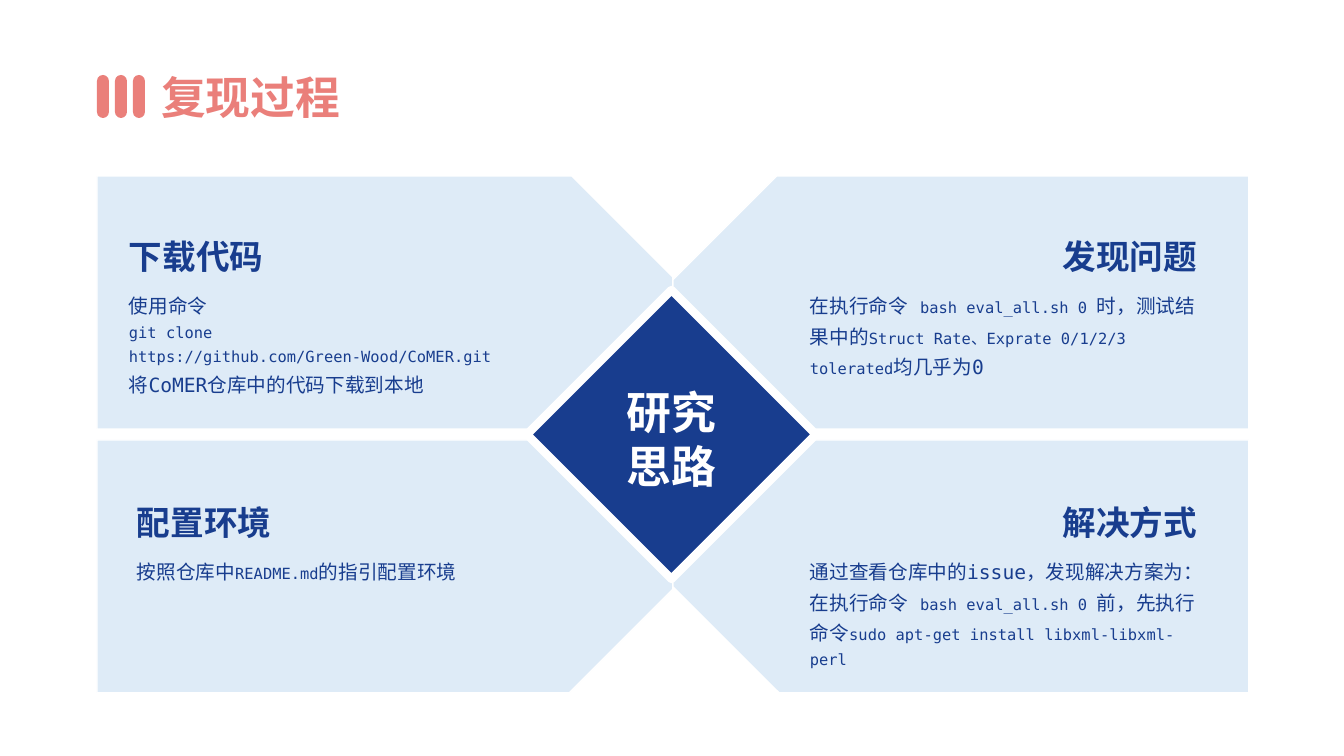
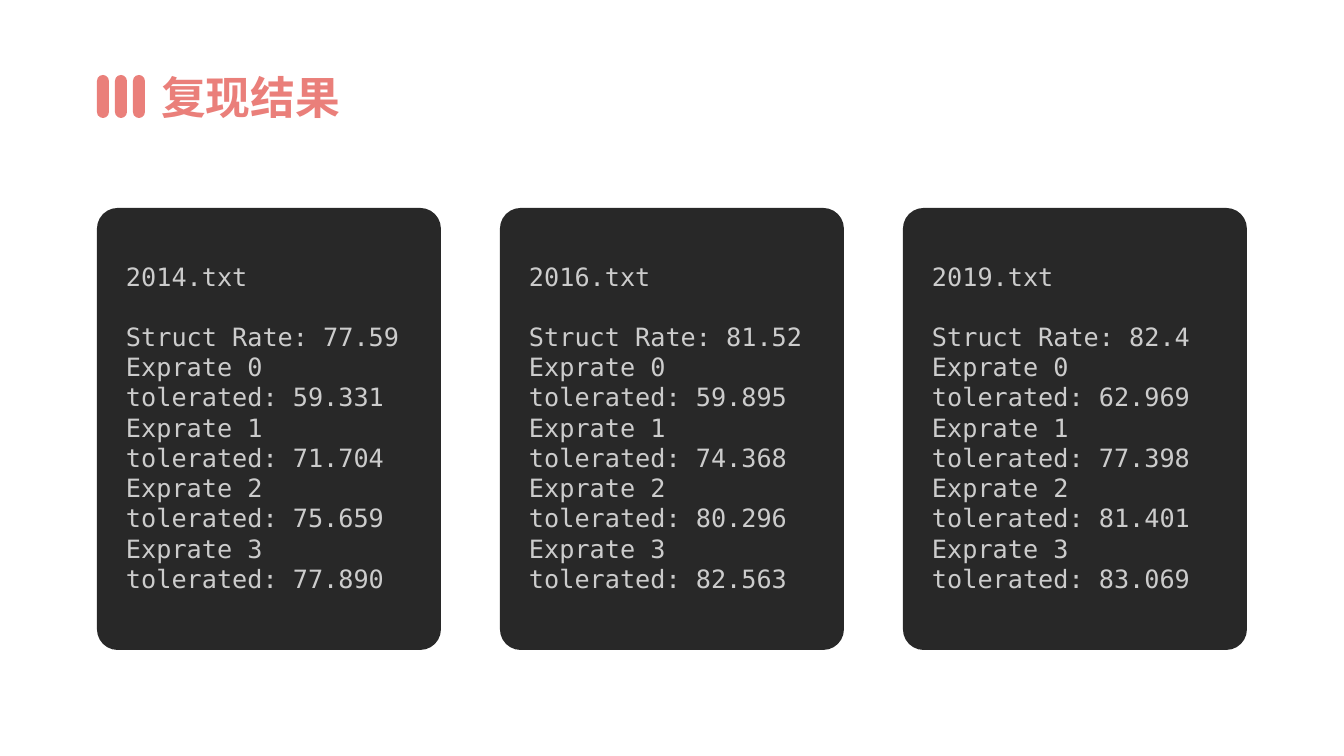
"""Build two slides on reproducing a code repository: the process and the results."""
import pptx
import pptx.util
import pptx.dml.color
import pptx.enum.shapes
import pptx.enum.text
import pptx.oxml.ns
from lxml import etree

COLORS = {
    "coral": "EA7F7A",
    "navy": "183D8E",
    "pale": "DEEBF7",
    "white": "FFFFFF",
    "card": "282828",
    "silver": "CCCCCC",
}
FONT = "DejaVu Sans Mono"
EMU_PER_PX = 914400 / 100.8
TITLE_ONLY = 5
SHAPE = pptx.enum.shapes.MSO_SHAPE
ALIGN = pptx.enum.text.PP_ALIGN
ANCHOR = pptx.enum.text.MSO_ANCHOR

PANELS = [
    {
        "column": 0, "row": 0, "snip": 0.4, "text_box": (22, 55, 472),
        "heading": "下载代码",
        "body": [
            "使用命令",
            "`git clone https://github.com/Green-Wood/CoMER.git`",
            "将CoMER仓库中的代码下载到本地",
        ],
    },
    {
        "column": 1, "row": 0, "snip": 0.41, "text_box": (127, 55, 417),
        "heading": "发现问题",
        "body": [
            "在执行命令 `bash eval_all.sh 0 `时，测试结果中的"
            "`Struct Rate、Exprate 0/1/2/3 tolerated`均几乎为0",
        ],
    },
    {
        "column": 0, "row": 1, "snip": 0.41, "text_box": (30, 57, 372),
        "heading": "配置环境",
        "body": ["按照仓库中`README.md`的指引配置环境"],
    },
    {
        "column": 1, "row": 1, "snip": 0.42, "text_box": (127, 57, 417),
        "heading": "解决方式",
        "body": [
            "通过查看仓库中的issue，发现解决方案为：",
            "在执行命令 `bash eval_all.sh 0 `前，先执行命令"
            "`sudo apt-get install libxml-libxml-perl`",
        ],
    },
]

RESULTS = {
    "2014.txt": ("77.59", "59.331", "71.704", "75.659", "77.890"),
    "2016.txt": ("81.52", "59.895", "74.368", "80.296", "82.563"),
    "2019.txt": ("82.4", "62.969", "77.398", "81.401", "83.069"),
}


def px(length):
    """Turn a length in px into EMU."""
    return pptx.util.Emu(round(length * EMU_PER_PX))


def rgb(name):
    """Look up a named colour."""
    return pptx.dml.color.RGBColor.from_string(COLORS[name])


def style(para, size, color, bold=False, align=ALIGN.LEFT):
    """Set the font and alignment of a whole paragraph."""
    para.alignment = align
    font = para.font
    font.size = pptx.util.Pt(size)
    font.bold = bold
    font.color.rgb = rgb(color)
    font.name = FONT
    properties = para._p.pPr.find(pptx.oxml.ns.qn("a:defRPr"))
    etree.SubElement(properties, pptx.oxml.ns.qn("a:ea"), typeface=FONT)


def write_lines(frame, lines):
    """Put each line in its own paragraph and return the paragraphs."""
    frame.text = "\n".join(lines)
    return frame.paragraphs


def add_filled(shapes, kind, box, color, adjust=None, line_width=0):
    """Add a flat preset shape, with a white outline if a width is given."""
    shape = shapes.add_shape(kind, *map(px, box))
    shape.shadow.inherit = False
    shape.fill.solid()
    shape.fill.fore_color.rgb = rgb(color)
    if adjust is not None:
        shape.adjustments[0] = adjust
    if line_width:
        shape.line.color.rgb = rgb("white")
        shape.line.width = pptx.util.Pt(line_width)
    else:
        shape.line.fill.background()
    return shape


def add_text_frame(page, box):
    """Add a wrapping text box and return its frame."""
    frame = page.shapes.add_textbox(*map(px, box)).text_frame
    frame.word_wrap = True
    return frame


def add_page(deck, title):
    """Add a slide with the three coral bars and its title."""
    page = deck.slides.add_slide(deck.slide_layouts[TITLE_ONLY])
    holder = page.shapes.title
    holder.left, holder.top, holder.width, holder.height = map(px, (151, 65, 202, 64))
    frame = holder.text_frame
    frame.text = title
    frame.word_wrap = False
    frame.auto_size = pptx.enum.text.MSO_AUTO_SIZE.NONE
    frame.vertical_anchor = ANCHOR.TOP
    style(frame.paragraphs[0], 32, "coral", bold=True)
    bars = page.shapes.add_group_shape()
    for index in range(3):
        box = (97 + 18 * index, 75, 12, 43)
        add_filled(bars.shapes, SHAPE.ROUNDED_RECTANGLE, box, "coral", 0.5)
    return page


def add_panel_text(page, box, heading, body, align):
    """Write a heading over body text whose backquoted parts are small code."""
    left, top, width = box
    heading_width = width - 10 if align == ALIGN.RIGHT else width
    frame = add_text_frame(page, (left, top, heading_width, 50))
    frame.text = heading
    style(frame.paragraphs[0], 24, "navy", bold=True, align=align)

    frame = add_text_frame(page, (left, top + 51, width, 100))
    for index, text in enumerate(body):
        para = frame.add_paragraph() if index else frame.paragraphs[0]
        para.line_spacing = 1.3
        for position, part in enumerate(text.split("`")):
            if part:
                span = para.add_run()
                span.text = part
                span.font.size = pptx.util.Pt(11 if position % 2 else 14)
        style(para, 14, "navy")


def add_panel(page, box, panel):
    """Add one panel with its cut corner turned to the middle of the slide."""
    left, top = box[:2]
    shape = add_filled(
        page.shapes, SHAPE.SNIP_1_RECTANGLE, box, "pale", panel["snip"], 1
    )
    transform = shape._element.spPr.find(pptx.oxml.ns.qn("a:xfrm"))
    for flip, turned in (("flipH", panel["column"]), ("flipV", panel["row"])):
        if turned:
            transform.set(flip, "1")
    inset_left, inset_top, width = panel["text_box"]
    align = ALIGN.RIGHT if panel["column"] else ALIGN.LEFT
    text_box = (left + inset_left, top + inset_top, width)
    add_panel_text(page, text_box, panel["heading"], panel["body"], align)


def add_diamond(page, box, lines):
    """Add the central diamond with its label."""
    shape = add_filled(page.shapes, SHAPE.DIAMOND, box, "navy", line_width=6)
    frame = shape.text_frame
    frame.word_wrap = False
    frame.vertical_anchor = ANCHOR.MIDDLE
    frame.margin_top, frame.margin_bottom = px(8), 0
    for para in write_lines(frame, lines):
        style(para, 32, "white", bold=True, align=ALIGN.CENTER)


def build_process(deck):
    """Build the four panels around a diamond."""
    page = add_page(deck, "复现过程")
    left, top, width, height, gap = 97, 176, 576, 253, 11
    for panel in PANELS:
        panel_left = left + panel["column"] * width
        panel_top = top + panel["row"] * (height + gap)
        add_panel(page, (panel_left, panel_top, width, height), panel)
    add_diamond(page, (527, 290, 289, 289), ["研究", "思路"])


def add_result_card(page, box, name, rates):
    """Add a dark card listing the rates of one test file."""
    card = add_filled(page.shapes, SHAPE.ROUNDED_RECTANGLE, box, "card", 0.06)
    frame = card.text_frame
    frame.word_wrap = True
    frame.vertical_anchor = ANCHOR.TOP
    frame.margin_left, frame.margin_right = px(23), px(24)
    frame.margin_top = px(47)
    lines = [name, f"Struct Rate: {rates[0]}"]
    for errors, rate in enumerate(rates[1:]):
        lines.append(f"Exprate {errors} tolerated: {rate}")
    paras = write_lines(frame, lines)
    for para in paras:
        style(para, 18, "silver")
    paras[1].space_before = pptx.util.Pt(21.5)


def build_results(deck):
    """Build one card for each test file."""
    page = add_page(deck, "复现结果")
    left, width, gap = 97, 344, 59
    for index, (name, rates) in enumerate(RESULTS.items()):
        box = (left + index * (width + gap), 208, width, 442)
        add_result_card(page, box, name, rates)


def main():
    """Build and save the deck."""
    deck = pptx.Presentation()
    deck.slide_width, deck.slide_height = px(1344), px(756)
    build_process(deck)
    build_results(deck)
    deck.save("out.pptx")


if __name__ == "__main__":
    main()
